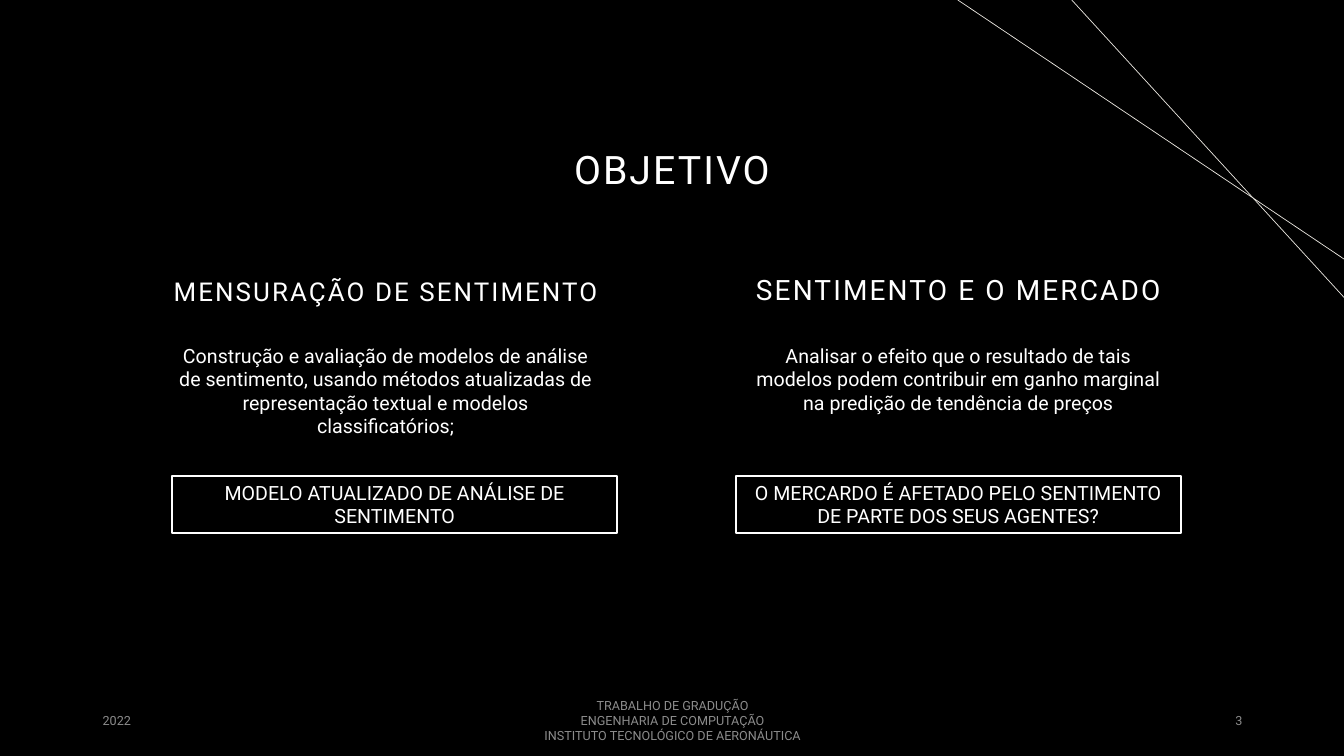
from pptx import Presentation
from pptx.dml.color import RGBColor
from pptx.enum.shapes import MSO_CONNECTOR, MSO_SHAPE
from pptx.enum.text import MSO_ANCHOR, PP_ALIGN
from pptx.oxml.ns import qn
from pptx.util import Inches, Pt
from lxml import etree

BLACK = RGBColor(0x00, 0x00, 0x00)
WHITE = RGBColor(0xFF, 0xFF, 0xFF)
GRAY = RGBColor(0x8C, 0x8C, 0x8C)
IVORY = RGBColor(0xE9, 0xE6, 0xDF)
LEFT, CENTER, RIGHT = PP_ALIGN.LEFT, PP_ALIGN.CENTER, PP_ALIGN.RIGHT
TOP, MIDDLE = MSO_ANCHOR.TOP, MSO_ANCHOR.MIDDLE
STRAIGHT = MSO_CONNECTOR.STRAIGHT
RECTANGLE = MSO_SHAPE.RECTANGLE
FONT = "Roboto"
COLUMN_WIDTH = 4.41


def write(box, text, size, color=WHITE, align=CENTER, anchor=TOP,
          line_spacing=1.0, space_before=0, tracking=0):
    frame = box.text_frame
    frame.text = text
    frame.word_wrap = True
    frame.vertical_anchor = anchor
    for para in frame.paragraphs:
        para.alignment = align
        para.line_spacing = line_spacing
        para.space_before = Pt(space_before)
        for span in para.runs:
            span.font.name = FONT
            span.font.size = Pt(size)
            span.font.color.rgb = color
            if tracking:
                span.font._element.set("spc", str(tracking))


def add_text(left, top, width, height, text, size, **style):
    box = page.shapes.add_textbox(Inches(left), Inches(top), Inches(width), Inches(height))
    write(box, text, size, **style)
    return box


deck = Presentation()
deck.slide_width = Inches(13.33)
deck.slide_height = Inches(7.5)
page = deck.slides.add_slide(deck.slide_layouts[6])
page.background.fill.solid()
page.background.fill.fore_color.rgb = BLACK

for start_x, end_y in [(9.5, 2.57), (10.63, 2.95)]:
    ray = page.shapes.add_connector(
        STRAIGHT, Inches(start_x), Inches(0), Inches(13.33), Inches(end_y))
    ray.line.color.rgb = IVORY
    ray.line.width = Pt(0.5)
    etree.SubElement(ray._element.spPr, qn("a:effectLst"))

add_text(2.06, 0.98, 9.21, 1.45, "OBJETIVO", 28,
         anchor=MIDDLE, line_spacing=0.9, tracking=150)

columns = [
    (1.62, 1.71, "MENSURAÇÃO DE SENTIMENTO", 18.5, 0.9,
     "Construção e avaliação de modelos de análise de sentimento, usando métodos "
     "atualizadas de representação textual e modelos classificatórios;",
     "MODELO ATUALIZADO DE ANÁLISE DE SENTIMENTO"),
    (7.3, 7.3, "SENTIMENTO E O MERCADO", 20, 0.8,
     "Analisar o efeito que o resultado de tais modelos podem contribuir em ganho "
     "marginal na predição de tendência de preços",
     "O MERCARDO É AFETADO PELO SENTIMENTO DE PARTE DOS SEUS AGENTES?"),
]
for text_left, frame_left, heading, heading_size, spacing, body, conclusion in columns:
    heading_box = add_text(text_left, 2.72, COLUMN_WIDTH, 0.4, heading, heading_size,
                           line_spacing=spacing, space_before=10, tracking=150)
    heading_box.text_frame.margin_left = Inches(0.05)
    heading_box.text_frame.margin_right = Inches(0.05)
    add_text(text_left, 3.36, COLUMN_WIDTH, 1.16, body, 14, space_before=10)

    conclusion_box = page.shapes.add_shape(
        RECTANGLE, Inches(frame_left), Inches(4.72), Inches(COLUMN_WIDTH), Inches(0.57))
    conclusion_box.shadow.inherit = False
    conclusion_box.fill.background()
    conclusion_box.line.color.rgb = WHITE
    conclusion_box.line.width = Pt(1.5)
    write(conclusion_box, conclusion, 14, space_before=10)

footers = [
    (0.92, 3, "2022", LEFT),
    (4.42, 4.5, "TRABALHO DE GRADUÇÃO\nENGENHARIA DE COMPUTAÇÃO\n"
                "INSTITUTO TECNOLÓGICO DE AERONÁUTICA", CENTER),
    (9.42, 3, "3", RIGHT),
]
for left, width, text, align in footers:
    add_text(left, 6.95, width, 0.4, text, 9, color=GRAY, align=align, anchor=MIDDLE)

deck.save("out.pptx")
